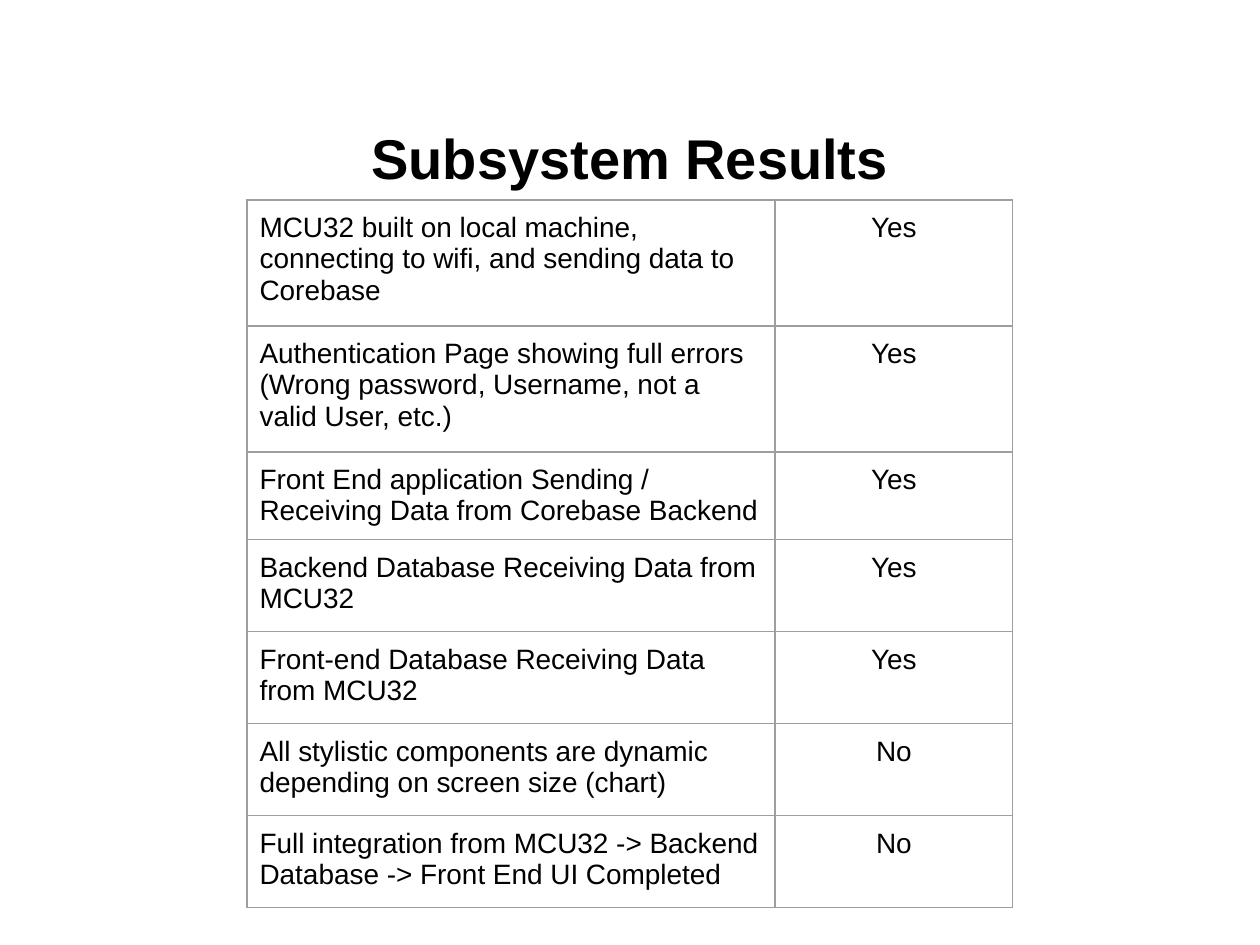
"""Builds the Subsystem Results slide: a title over a table of checks."""
from lxml.etree import SubElement
from pptx import Presentation
from pptx.dml.color import RGBColor
from pptx.enum.text import MSO_ANCHOR as Anchor, PP_ALIGN as Align
from pptx.oxml.ns import qn
from pptx.util import Pt

TITLE = "Subsystem Results"
RESULTS = [
    ("MCU32 built on local machine, connecting to wifi, and sending data to Corebase", "Yes", 126),
    ("Authentication Page showing full errors (Wrong password, Username, not a valid User, etc.)", "Yes", 126),
    ("Front End application Sending / Receiving Data from Corebase Backend", "Yes", 87),
    ("Backend Database Receiving Data from MCU32", "Yes", 92),
    ("Front-end Database Receiving Data from MCU32", "Yes", 92),
    ("All stylistic components are dynamic depending on screen size (chart)", "No", 92),
    ("Full integration from MCU32 -> Backend Database -> Front End UI Completed", "No", 92),
]
COLUMNS = [(528, Align.LEFT), (238, Align.CENTER)]
TABLE_LEFT, TABLE_TOP = 247, 200
INSET = 12.6
BLACK, GRAY = "000000", "9E9E9E"


def px(length):
    """Turn px into EMU."""
    return round(length * 914400 / 126)


def write(frame, text, size=16, bold=False, align=Align.LEFT, color=BLACK):
    """Put one formatted paragraph in a text frame."""
    para = frame.paragraphs[0]
    para.alignment = align
    span = para.add_run()
    span.text = text
    span.font.name = "Arial"
    span.font.size = Pt(size)
    span.font.bold = bold
    span.font.color.rgb = RGBColor.from_string(color)


def outline(cell, color=GRAY, width=0.75):
    """Draw all four borders of a cell."""
    properties = cell._tc.get_or_add_tcPr()
    for position, side in enumerate(("a:lnL", "a:lnR", "a:lnT", "a:lnB")):
        line = SubElement(properties, qn(side), w=str(Pt(width)))
        fill = SubElement(line, qn("a:solidFill"))
        SubElement(fill, qn("a:srgbClr"), val=color)
        properties.insert(position, line)


def add_title(page):
    """Place and fill the title placeholder."""
    title = page.shapes.title
    title.left, title.top, title.width, title.height = map(px, (63, 102, 1134, 111))
    title.text_frame.vertical_anchor = Anchor.MIDDLE
    write(title.text_frame, TITLE, size=32, bold=True, align=Align.CENTER)


def add_results(page):
    """Add the table of checks and outcomes."""
    width = sum(column[0] for column in COLUMNS)
    height = sum(result[-1] for result in RESULTS)
    table = page.shapes.add_table(
        len(RESULTS), len(COLUMNS), px(TABLE_LEFT), px(TABLE_TOP), px(width), px(height)
    ).table
    table.first_row = table.horz_banding = False
    for column, (column_width, _) in zip(table.columns, COLUMNS):
        column.width = px(column_width)
    for row, (*texts, row_height) in zip(table.rows, RESULTS):
        row.height = px(row_height)
        for cell, text, (_, align) in zip(row.cells, texts, COLUMNS):
            cell.margin_left = cell.margin_right = px(INSET)
            cell.margin_top = cell.margin_bottom = px(INSET)
            cell.vertical_anchor = Anchor.TOP
            cell.fill.background()
            outline(cell)
            write(cell.text_frame, text, align=align)


def main():
    """Build and save the deck."""
    deck = Presentation()
    deck.slide_width, deck.slide_height = px(1260), px(945)
    page = deck.slides.add_slide(deck.slide_layouts[5])
    add_title(page)
    add_results(page)
    deck.save("out.pptx")


if __name__ == "__main__":
    main()
